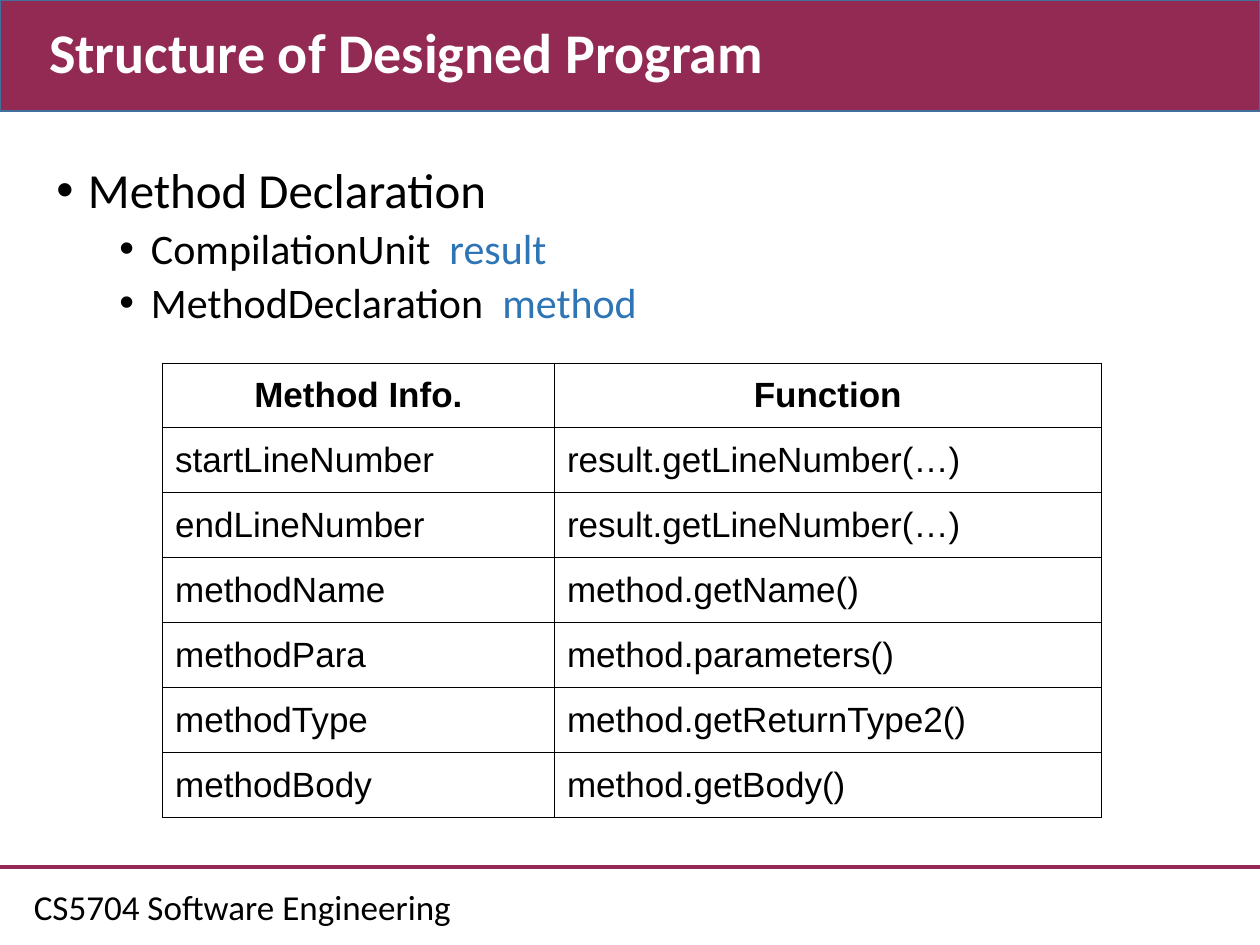
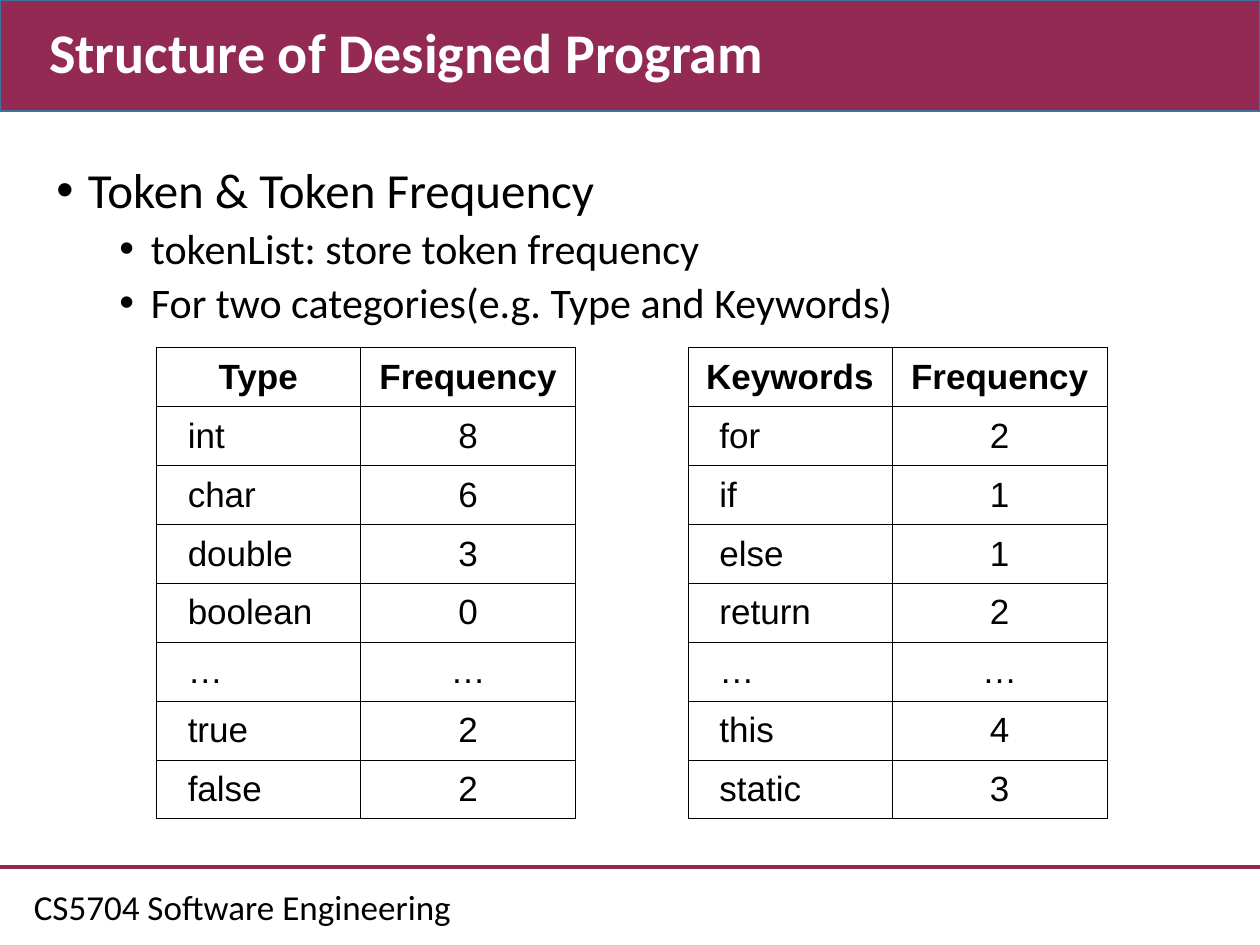
import pptx
import pptx.util
import pptx.dml.color
import pptx.enum.shapes
import pptx.enum.text
import pptx.oxml.ns
from lxml import etree

Inches, Pt = pptx.util.Inches, pptx.util.Pt
ALIGN = pptx.enum.text.PP_ALIGN
MIDDLE = pptx.enum.text.MSO_ANCHOR.MIDDLE

COLORS = {"maroon": "922A54", "edge": "41719C", "text": "000000",
          "variable": "2E75B6", "white": "FFFFFF"}
TITLE = "Structure of Designed Program"
FOOTER = "CS5704 Software Engineering"
SLIDE_WIDTH, SLIDE_HEIGHT = 10, 7.5
BAND_HEIGHT, RULE_TOP = 0.88, 6.88

FORMATS = {
    "title": {"name": "Calibri", "size": Pt(32), "bold": True},
    "footer": {"name": "Calibri", "size": Pt(20)},
    "head": {"name": "Arial", "size": Pt(20), "bold": True},
    "cell": {"name": "Arial", "size": Pt(20), "bold": False},
}
# One entry per outline level: font, left indent, space before
LEVELS = [
    {"font": {"name": "Calibri", "size": Pt(28)}, "indent": 0.25, "before": 0},
    {"font": {"name": "Calibri", "size": Pt(24)}, "indent": 0.75, "before": 5},
]
HANG = 0.25

METHOD_TABLE = {
    "at": (1.29, 2.88), "height": 3.61, "widths": (3.11, 4.34),
    "aligns": (ALIGN.LEFT, ALIGN.LEFT), "first_margin": 0.1,
    "rows": [
        ("Method Info.", "Function"),
        ("startLineNumber", "result.getLineNumber(…)"),
        ("endLineNumber", "result.getLineNumber(…)"),
        ("methodName", "method.getName()"),
        ("methodPara", "method.parameters()"),
        ("methodType", "method.getReturnType2()"),
        ("methodBody", "method.getBody()"),
    ],
}
FREQUENCY_STYLE = {
    "height": 3.74, "widths": (1.62, 1.71),
    "aligns": (ALIGN.LEFT, ALIGN.CENTER), "first_margin": 0.25,
}
TYPE_TABLE = {
    **FREQUENCY_STYLE, "at": (1.24, 2.76),
    "rows": [("Type", "Frequency"), ("int", "8"), ("char", "6"),
             ("double", "3"), ("boolean", "0"), ("…", "…"),
             ("true", "2"), ("false", "2")],
}
KEYWORD_TABLE = {
    **FREQUENCY_STYLE, "at": (5.46, 2.76),
    "rows": [("Keywords", "Frequency"), ("for", "2"), ("if", "1"),
             ("else", "1"), ("return", "2"), ("…", "…"),
             ("this", "4"), ("static", "3")],
}
# Each outline line is a level and its (text, colour) spans
PAGES = [
    {"outline": [
        (0, [("Method Declaration", "text")]),
        (1, [("CompilationUnit  ", "text"), ("result", "variable")]),
        (1, [("MethodDeclaration  ", "text"), ("method", "variable")])],
     "tables": [METHOD_TABLE]},
    {"outline": [
        (0, [("Token & Token Frequency", "text")]),
        (1, [("tokenList: store token frequency", "text")]),
        (1, [("For two categories(e.g. Type and Keywords)", "text")])],
     "tables": [TYPE_TABLE, KEYWORD_TABLE]},
]


def rgb(color):
    return pptx.dml.color.RGBColor.from_string(COLORS[color])


def add_element(parent, tag, **attributes):
    return etree.SubElement(parent, pptx.oxml.ns.qn(tag), **attributes)


def add_span(para, text, values, color="text"):
    span = para.add_run()
    span.text = text
    for name, value in values.items():
        setattr(span.font, name, value)
    span.font.color.rgb = rgb(color)


def add_box(page, left, top, width, height):
    box = page.shapes.add_textbox(*map(Inches, (left, top, width, height)))
    box.text_frame.word_wrap = True
    return box.text_frame


def add_frame(page):
    """Draw the title band, the rule and the footer."""
    band = page.shapes.add_shape(
        pptx.enum.shapes.MSO_SHAPE.RECTANGLE, 0, 0,
        Inches(SLIDE_WIDTH), Inches(BAND_HEIGHT))
    band.shadow.inherit = False
    band.fill.solid()
    band.fill.fore_color.rgb = rgb("maroon")
    band.line.color.rgb = rgb("edge")
    band.line.width = Pt(1)

    rule = page.shapes.add_connector(
        pptx.enum.shapes.MSO_CONNECTOR.STRAIGHT, 0, Inches(RULE_TOP),
        Inches(SLIDE_WIDTH), Inches(RULE_TOP))
    rule.line.color.rgb = rgb("maroon")
    rule.line.width = Pt(2.25)
    add_element(rule.element.spPr, "a:effectLst")

    footer = add_box(page, 0.17, 6.98, 4.83, 0.44)
    add_span(footer.paragraphs[0], FOOTER, FORMATS["footer"])


def set_title(page):
    title = page.shapes.title
    title.left, title.top = Inches(0.29), 0
    title.width, title.height = Inches(9.71), Inches(BAND_HEIGHT)
    title.text_frame.auto_size = pptx.enum.text.MSO_AUTO_SIZE.NONE
    title.text_frame.vertical_anchor = MIDDLE
    para = title.text_frame.paragraphs[0]
    para.alignment = ALIGN.LEFT
    para.line_spacing = 0.9
    add_span(para, TITLE, FORMATS["title"], "white")
    title.element.getparent().append(title.element)  # in front of the band


def add_outline(page, lines):
    frame = add_box(page, 0.35, 1.27, 9.04, 5.38)
    for index, (level, spans) in enumerate(lines):
        para = frame.add_paragraph() if index else frame.paragraphs[0]
        style = LEVELS[level]
        properties = para._p.get_or_add_pPr()
        properties.set("marL", str(Inches(style["indent"])))
        properties.set("indent", str(-Inches(HANG)))
        bullet_color = add_element(properties, "a:buClr")
        add_element(bullet_color, "a:srgbClr", val=COLORS["text"])
        add_element(properties, "a:buFont", typeface="Arial")
        add_element(properties, "a:buChar", char="•")
        para.level = level
        para.line_spacing = 0.9
        para.space_before = Pt(style["before"])
        for text, color in spans:
            add_span(para, text, style["font"], color)


def set_borders(cell):
    properties = cell._tc.get_or_add_tcPr()
    for side in ("a:lnL", "a:lnR", "a:lnT", "a:lnB"):
        line = add_element(properties, side, w=str(Pt(0.45)))
        fill = add_element(line, "a:solidFill")
        add_element(fill, "a:srgbClr", val=COLORS["text"])


def add_grid(page, content):
    rows, widths = content["rows"], content["widths"]
    size = (sum(widths), content["height"])
    table = page.shapes.add_table(
        len(rows), len(widths), *map(Inches, content["at"] + size)).table
    table.first_row = table.horz_banding = False
    for column, width in zip(table.columns, widths):
        column.width = Inches(width)
    for row_index, texts in enumerate(rows):
        is_head = row_index == 0
        for column_index, text in enumerate(texts):
            cell = table.cell(row_index, column_index)
            set_borders(cell)
            cell.fill.background()
            cell.vertical_anchor = MIDDLE
            if column_index == 0 and not is_head:
                cell.margin_left = Inches(content["first_margin"])
            para = cell.text_frame.paragraphs[0]
            para.alignment = (ALIGN.CENTER if is_head
                              else content["aligns"][column_index])
            add_span(para, text, FORMATS["head" if is_head else "cell"])


def main():
    deck = pptx.Presentation()
    deck.slide_width = Inches(SLIDE_WIDTH)
    deck.slide_height = Inches(SLIDE_HEIGHT)
    title_only = deck.slide_layouts.get_by_name("Title Only")
    for content in PAGES:
        page = deck.slides.add_slide(title_only)
        add_frame(page)
        add_outline(page, content["outline"])
        set_title(page)
        for table in content["tables"]:
            add_grid(page, table)
    deck.save("out.pptx")


if __name__ == "__main__":
    main()
